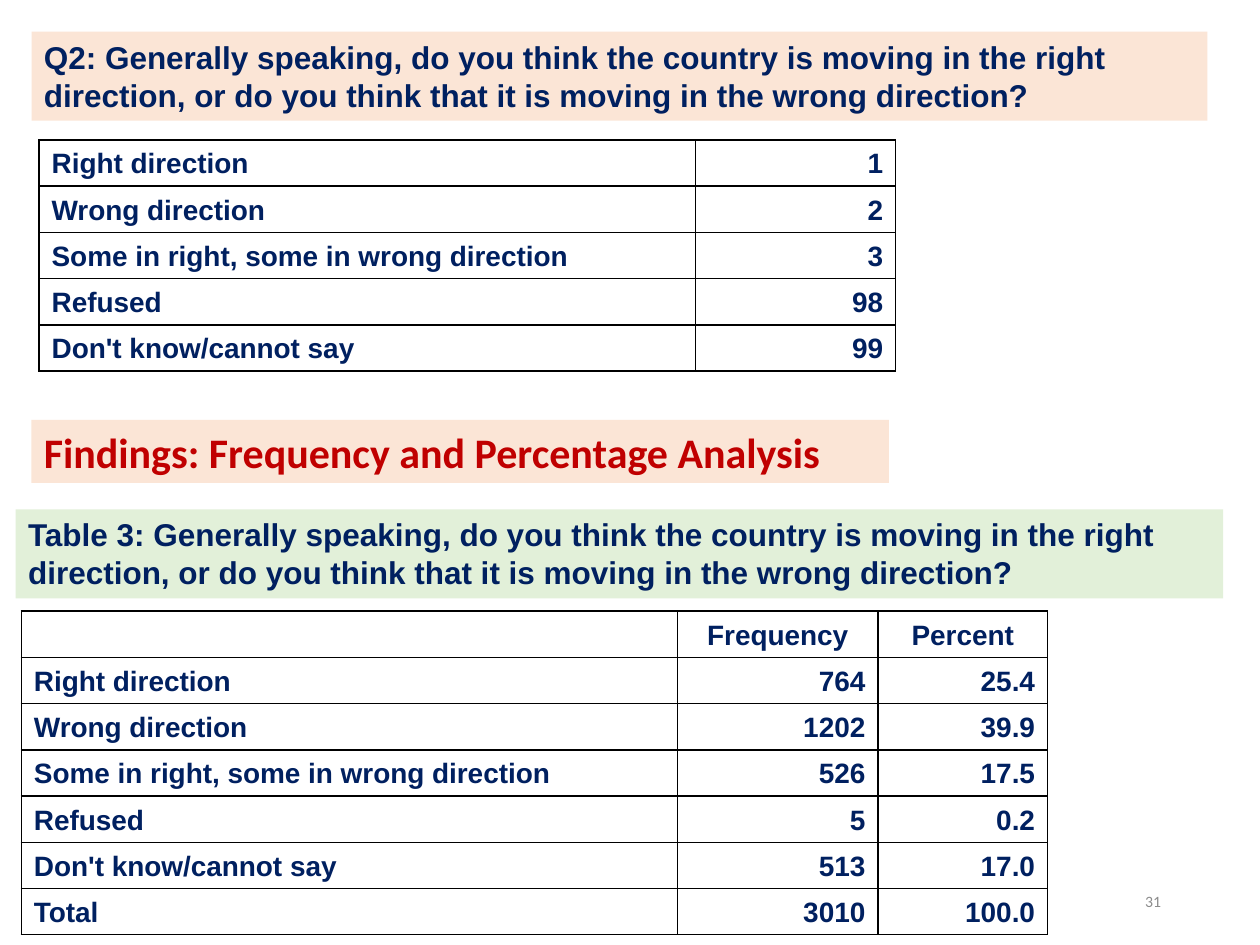
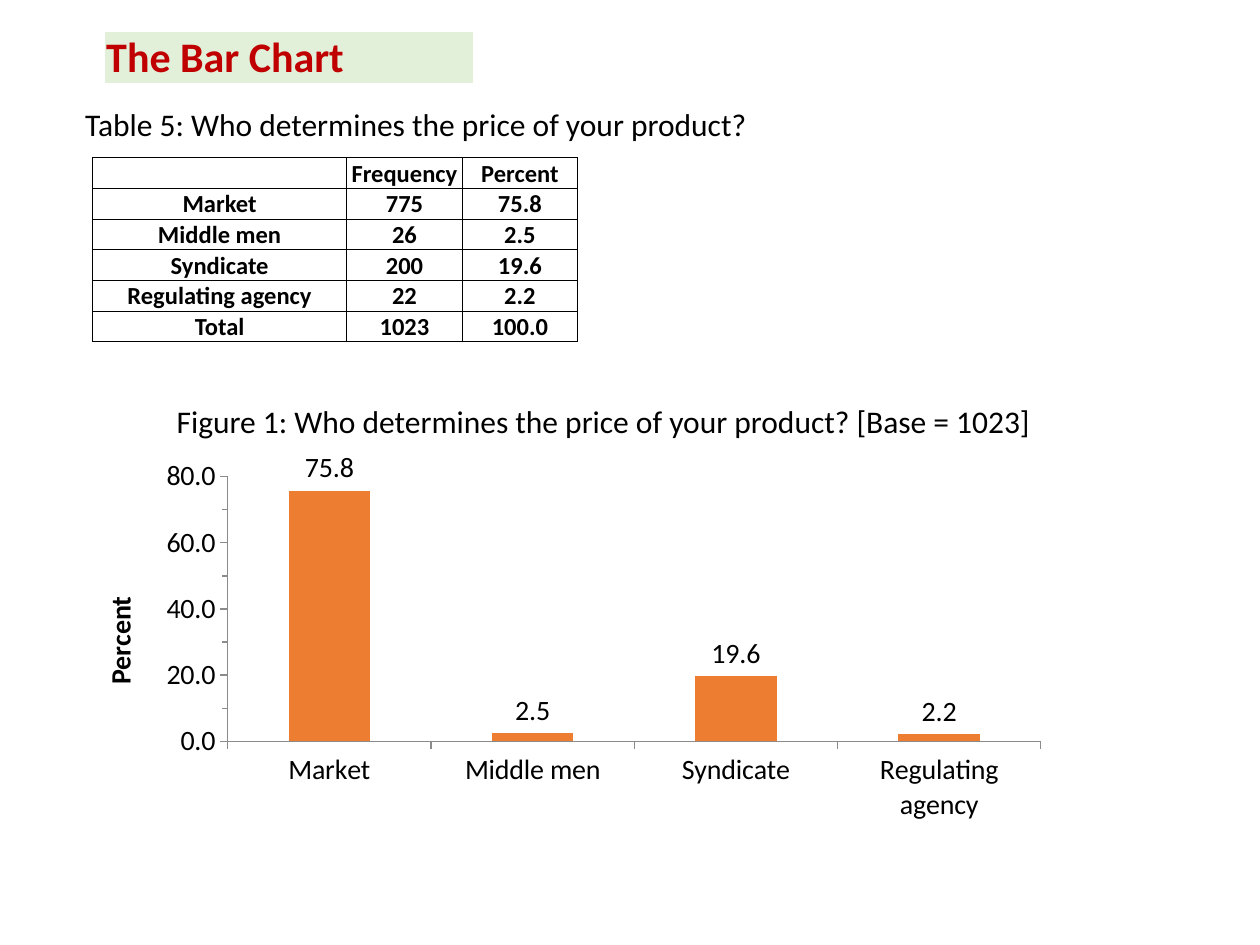
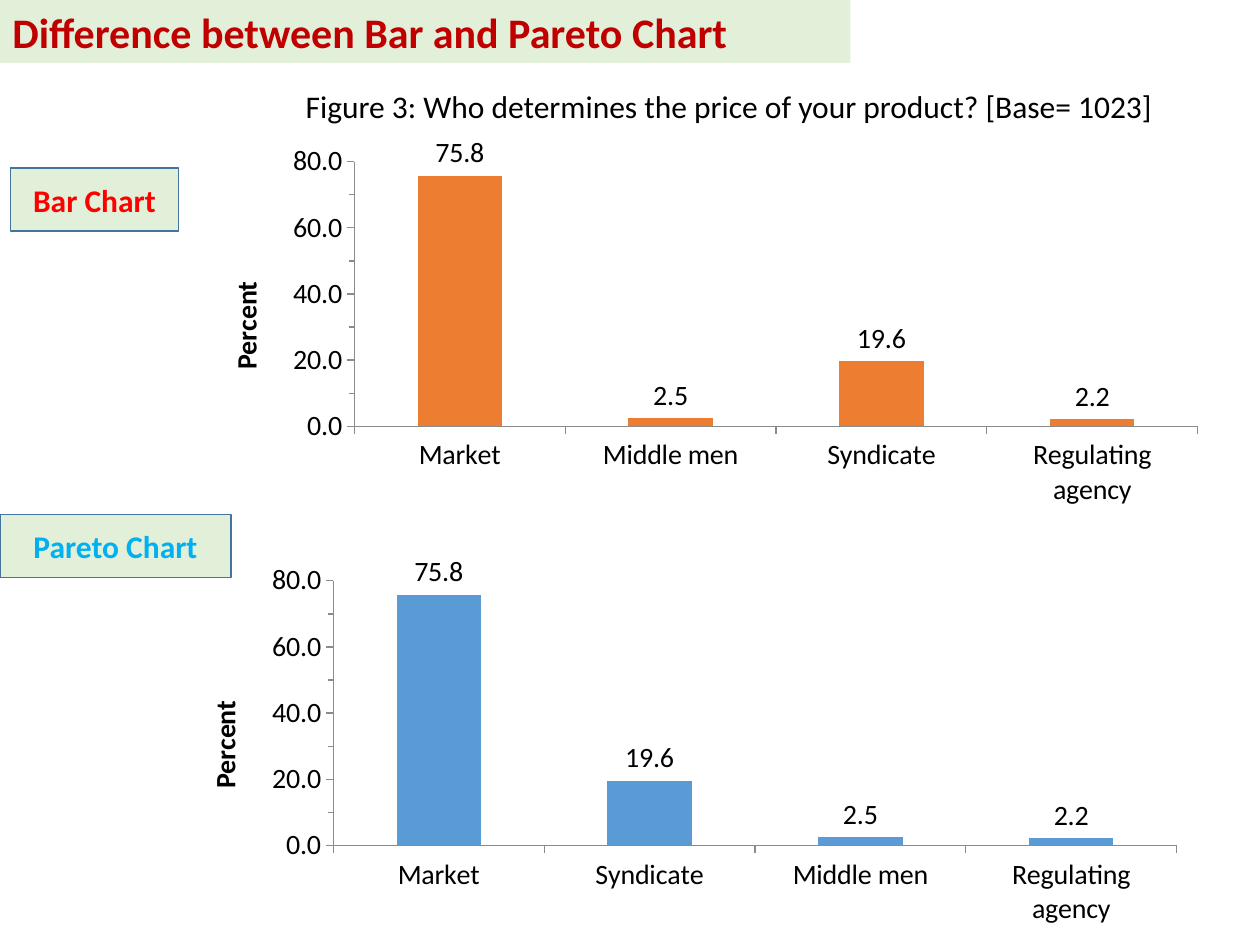
import lxml.etree
import pptx
import pptx.chart.data
import pptx.dml.color
import pptx.enum.chart
import pptx.enum.shapes
import pptx.enum.text
import pptx.oxml.ns
import pptx.util

Pt = pptx.util.Pt
ALIGN = pptx.enum.text.PP_ALIGN
ANCHOR = pptx.enum.text.MSO_ANCHOR
TICK = pptx.enum.chart.XL_TICK_MARK

NAVY, RED, BLACK = "002060", "C00000", "000000"
PEACH, GREEN = "FBE5D6", "E2F0D9"
ORANGE, BLUE = "ED7D31", "5B9BD5"
AXIS_GREY, LABEL_OUTLINE = "8B8B8B", "43739E"

QUESTION = ("Generally speaking, do you think the country is moving in the right "
            "direction, or do you think that it is moving in the wrong direction?")
ANSWERS = ["Right direction", "Wrong direction", "Some in right, some in wrong direction",
           "Refused", "Don't know/cannot say"]
PRICE_SETTERS = [("Market", 775, 75.8), ("Middle men", 26, 2.5),
                 ("Syndicate", 200, 19.6), ("Regulating agency", 22, 2.2)]


def color(hex_string):
    return pptx.dml.color.RGBColor.from_string(hex_string)


def format_font(font, size, hex_string, bold=False, name="Calibri"):
    font.size = Pt(size)
    font.name = name
    font.bold = bold
    font.color.rgb = color(hex_string)


def write(text_frame, text, size, hex_string, bold=False, name="Calibri", align=ALIGN.LEFT):
    text_frame.text = text
    paragraph = text_frame.paragraphs[0]
    paragraph.alignment = align
    for run in paragraph.runs:
        format_font(run.font, size, hex_string, bold, name)
    if not text:
        end = lxml.etree.SubElement(paragraph._p, pptx.oxml.ns.qn("a:endParaRPr"))
        end.set("sz", str(size * 100))


def add_box(slide, left, top, width, height, fill, line=None):
    shape = slide.shapes.add_shape(pptx.enum.shapes.MSO_SHAPE.RECTANGLE,
                                   Pt(left), Pt(top), Pt(width), Pt(height))
    shape.shadow.inherit = False
    shape.fill.solid()
    shape.fill.fore_color.rgb = color(fill)
    if line:
        shape.line.color.rgb = color(line)
        shape.line.width = Pt(1)
    else:
        shape.line.fill.background()
    return shape


def add_band(slide, left, top, width, height, fill, text, *style, **options):
    text_frame = add_box(slide, left, top, width, height, fill).text_frame
    text_frame.word_wrap = True
    text_frame.vertical_anchor = ANCHOR.TOP
    text_frame.auto_size = pptx.enum.text.MSO_AUTO_SIZE.SHAPE_TO_FIT_TEXT
    write(text_frame, text, *style, **options)


def add_question_band(slide, left, top, width, fill, prefix):
    add_band(slide, left, top, width, 51, fill, f"{prefix}: {QUESTION}", 18, NAVY, True, "Arial")


def add_chart_label(slide, left, top, width, text, hex_string):
    shape = add_box(slide, left, top, width, 36, GREEN, LABEL_OUTLINE)
    shape.text_frame.vertical_anchor = ANCHOR.MIDDLE
    write(shape.text_frame, text, 18, hex_string, True, align=ALIGN.CENTER)


def add_page_number(slide, text):
    text_frame = slide.shapes.add_textbox(Pt(508.5), Pt(500.5), Pt(162), Pt(28.5)).text_frame
    text_frame.word_wrap = True
    text_frame.vertical_anchor = ANCHOR.MIDDLE
    write(text_frame, text, 9, "8C8C8C", align=ALIGN.RIGHT)


def set_borders(cell, width):
    """Draw all four edges in black, or none when width is 0."""
    properties = cell._tc.get_or_add_tcPr()
    for position, edge in enumerate(("a:lnL", "a:lnR", "a:lnT", "a:lnB")):
        line = lxml.etree.Element(pptx.oxml.ns.qn(edge), w=str(Pt(width)))
        kind = "a:solidFill" if width else "a:noFill"
        fill = lxml.etree.SubElement(line, pptx.oxml.ns.qn(kind))
        if width:
            lxml.etree.SubElement(fill, pptx.oxml.ns.qn("a:srgbClr"), val=BLACK)
        properties.insert(position, line)


def add_grid(slide, left, top, widths, row_height, rows, border, tight=False):
    """Add a plain table and return it; tight removes nearly all cell margins."""
    frame = slide.shapes.add_table(len(rows), len(widths), Pt(left), Pt(top),
                                   Pt(sum(widths)), Pt(row_height * len(rows)))
    table = frame.table
    table.first_row = table.horz_banding = False
    for column, width in zip(table.columns, widths):
        column.width = Pt(width)
    for row in table.rows:
        row.height = Pt(row_height)
    for cell in table.iter_cells():
        cell.fill.background()
        cell.vertical_anchor = ANCHOR.BOTTOM
        set_borders(cell, border)
        if tight:
            cell.margin_left = cell.margin_right = cell.margin_top = Pt(0.7)
            cell.margin_bottom = 0
    return table


def add_survey_table(slide, left, top, widths, rows, has_header=False):
    table = add_grid(slide, left, top, widths, 26.4, rows, 1)
    for row_index, row in enumerate(rows):
        for column_index, text in enumerate(row):
            align = ALIGN.RIGHT if column_index else ALIGN.LEFT
            if has_header and row_index == 0:
                align = ALIGN.CENTER
            write(table.cell(row_index, column_index).text_frame, text, 16, NAVY, True,
                  "Arial", align)


def add_price_table(slide, left, top, widths, rows):
    table = add_grid(slide, left, top, widths, 17.55, rows, 0.5, tight=True)
    for row_index, row in enumerate(rows):
        for column_index, text in enumerate(row):
            cell = table.cell(row_index, column_index)
            write(cell.text_frame, text, 14, BLACK, True, align=ALIGN.CENTER)
            if row_index == 0:
                cell.vertical_anchor = ANCHOR.MIDDLE


def add_caption(slide, left, top, width, text, size=18, hex_string=BLACK, bold=False,
                align=ALIGN.LEFT, height=22.3, fill=None):
    """Add a heading held in a one-cell table."""
    cell = add_grid(slide, left, top, [width], height, [[text]], 0, tight=True).cell(0, 0)
    write(cell.text_frame, text, size, hex_string, bold, align=align)
    if fill:
        cell.fill.solid()
        cell.fill.fore_color.rgb = color(fill)


def add_percent_chart(slide, left, top, width, setters, fill):
    data = pptx.chart.data.CategoryChartData(number_format="0.0")
    data.categories = [name for name, _, _ in setters]
    data.add_series("Series 1", [percent for _, _, percent in setters])
    chart = slide.shapes.add_chart(pptx.enum.chart.XL_CHART_TYPE.COLUMN_CLUSTERED,
                                   Pt(left), Pt(top), Pt(width), Pt(216), data).chart
    chart.has_legend = chart.has_title = False
    format_font(chart.font, 16, BLACK)

    plot = chart.plots[0]
    plot.gap_width = 150
    plot.vary_by_categories = False
    series_fill = plot.series[0].format.fill
    series_fill.solid()
    series_fill.fore_color.rgb = color(fill)
    labels = plot.series[0].data_labels
    labels.show_value = True
    labels.number_format = "0.0"
    labels.number_format_is_linked = False
    labels.position = pptx.enum.chart.XL_LABEL_POSITION.OUTSIDE_END

    for axis in (chart.category_axis, chart.value_axis):
        axis.has_major_gridlines = False
        axis.major_tick_mark = TICK.OUTSIDE
        axis.format.line.color.rgb = color(AXIS_GREY)
        axis.format.line.width = Pt(0.75)
    value_axis = chart.value_axis
    value_axis.minor_tick_mark = TICK.OUTSIDE
    value_axis.minimum_scale, value_axis.maximum_scale = 0, 80
    value_axis.major_unit, value_axis.minor_unit = 20, 10
    value_axis.tick_labels.number_format = "0.0"
    value_axis.tick_labels.number_format_is_linked = False
    title_frame = value_axis.axis_title.text_frame
    write(title_frame, "Percent", 16, BLACK, True, align=ALIGN.CENTER)


def build_frequency_slide(slide):
    add_page_number(slide, "31")
    add_question_band(slide, 18, 18, 672, PEACH, "Q2")
    codes = ["1", "2", "3", "98", "99"]
    add_survey_table(slide, 22.3, 79.9, [375, 114.5], list(zip(ANSWERS, codes)))
    add_band(slide, 18, 240, 490, 36, PEACH, "Findings: Frequency and Percentage Analysis",
             24, RED, True, align=ALIGN.JUSTIFY)
    frequencies = ["764", "1202", "526", "5", "513", "3010"]
    percents = ["25.4", "39.9", "17.5", "0.2", "17.0", "100.0"]
    rows = [("", "Frequency", "Percent"), *zip(ANSWERS + ["Total"], frequencies, percents)]
    add_survey_table(slide, 12.2, 349.2, [375, 114.5, 97], rows, has_header=True)
    add_question_band(slide, 9, 291, 690, GREEN, "Table 3")


def build_bar_chart_slide(slide):
    rows = [("", "Frequency", "Percent")]
    rows += [(name, str(count), str(percent)) for name, count, percent in PRICE_SETTERS]
    rows.append(("Total", "1023", "100.0"))
    add_price_table(slide, 53, 90, [145, 66.3, 65.7], rows)
    add_caption(slide, 48, 60, 510, "Table 5: Who determines the price of your product?")
    add_caption(slide, 60, 18, 210, "The Bar Chart", 24, RED, True, height=29.5, fill=GREEN)
    add_percent_chart(slide, 42, 258, 564, PRICE_SETTERS, ORANGE)
    add_caption(slide, 60, 230, 570,
                "Figure 1: Who determines the price of your product? [Base = 1023]",
                align=ALIGN.CENTER)


def build_pareto_slide(slide):
    by_percent = sorted(PRICE_SETTERS, key=lambda setter: setter[2], reverse=True)
    add_percent_chart(slide, 102, 317.5, 582, by_percent, BLUE)
    add_percent_chart(slide, 114, 78, 582, PRICE_SETTERS, ORANGE)
    add_caption(slide, 174, 49.7, 510,
                "Figure 3: Who determines the price of your product? [Base= 1023]")
    add_band(slide, 0, 0, 486, 36, GREEN, "Difference between Bar and Pareto Chart",
             24, RED, True)
    add_chart_label(slide, 6, 96, 96, "Bar Chart", "FF0000")
    add_chart_label(slide, 0, 294, 132, "Pareto Chart", "00B0F0")


def main():
    presentation = pptx.Presentation()
    presentation.slide_width, presentation.slide_height = Pt(720), Pt(540)
    blank_layout = presentation.slide_layouts[6]
    for build in (build_frequency_slide, build_bar_chart_slide, build_pareto_slide):
        build(presentation.slides.add_slide(blank_layout))
    presentation.save("out.pptx")


if __name__ == "__main__":
    main()
